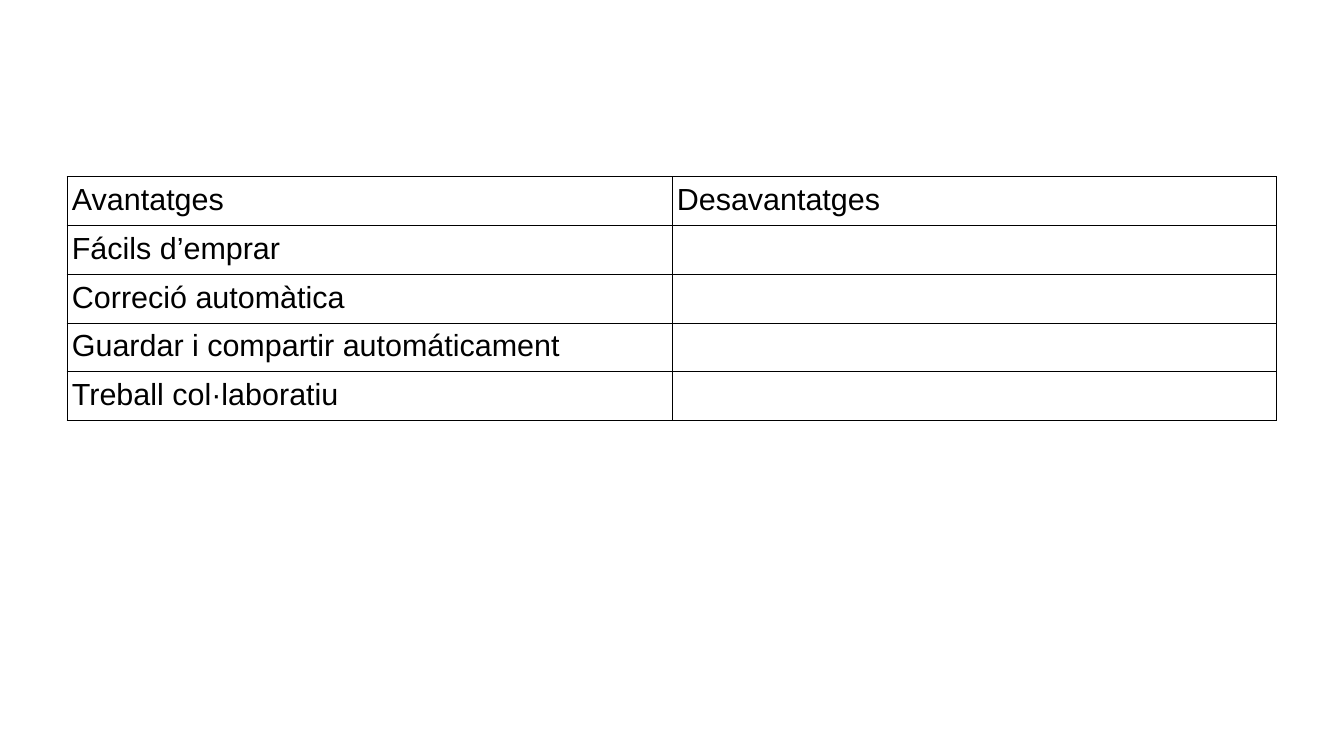
"""Build a slide with a table of advantages and disadvantages."""
import dataclasses

import pptx
import pptx.dml.color
import pptx.util
from lxml import etree
from pptx.oxml.ns import qn

Inches = pptx.util.Inches

ROWS = [
    ("Avantatges", "Desavantatges"),
    ("Fácils d’emprar", ""),
    ("Correció automàtica", ""),
    ("Guardar i compartir automáticament", ""),
    ("Treball col·laboratiu", ""),
]


@dataclasses.dataclass(frozen=True)
class Theme:
    font: str = "Arial"
    size: float = 18
    border_width: float = 0.57
    ink: str = "000000"
    paper: str = "FFFFFF"


THEME = Theme()
SLIDE_WIDTH, SLIDE_HEIGHT = 11.02, 6.2
LEFT, TOP = 0.55, 1.45
COLUMN_WIDTH, ROW_HEIGHT = 4.96, 0.4
MARGIN_X, MARGIN_Y = 0.04, 0.05


def add_borders(cell):
    properties = cell._tc.get_or_add_tcPr()
    for position, side in enumerate(("lnL", "lnR", "lnT", "lnB")):
        line = etree.Element(qn(f"a:{side}"), w=str(pptx.util.Pt(THEME.border_width)))
        fill = etree.SubElement(line, qn("a:solidFill"))
        etree.SubElement(fill, qn("a:srgbClr"), val=THEME.ink)
        properties.insert(position, line)


def fill_cell(cell, text):
    cell.margin_left = cell.margin_right = Inches(MARGIN_X)
    cell.margin_top = cell.margin_bottom = Inches(MARGIN_Y)
    cell.fill.solid()
    cell.fill.fore_color.rgb = pptx.dml.color.RGBColor.from_string(THEME.paper)
    add_borders(cell)
    cell.text = text
    font = cell.text_frame.paragraphs[0].font
    font.name = THEME.font
    font.size = pptx.util.Pt(THEME.size)
    font.color.rgb = pptx.dml.color.RGBColor.from_string(THEME.ink)


def main():
    deck = pptx.Presentation()
    deck.slide_width = Inches(SLIDE_WIDTH)
    deck.slide_height = Inches(SLIDE_HEIGHT)
    page = deck.slides.add_slide(deck.slide_layouts[6])
    row_count, column_count = len(ROWS), len(ROWS[0])
    table = page.shapes.add_table(
        row_count, column_count, Inches(LEFT), Inches(TOP),
        Inches(COLUMN_WIDTH * column_count), Inches(ROW_HEIGHT * row_count),
    ).table
    table.horz_banding = False
    table.first_row = False
    for row_index, row in enumerate(ROWS):
        for column_index, text in enumerate(row):
            fill_cell(table.cell(row_index, column_index), text)
    deck.save("out.pptx")


if __name__ == "__main__":
    main()
